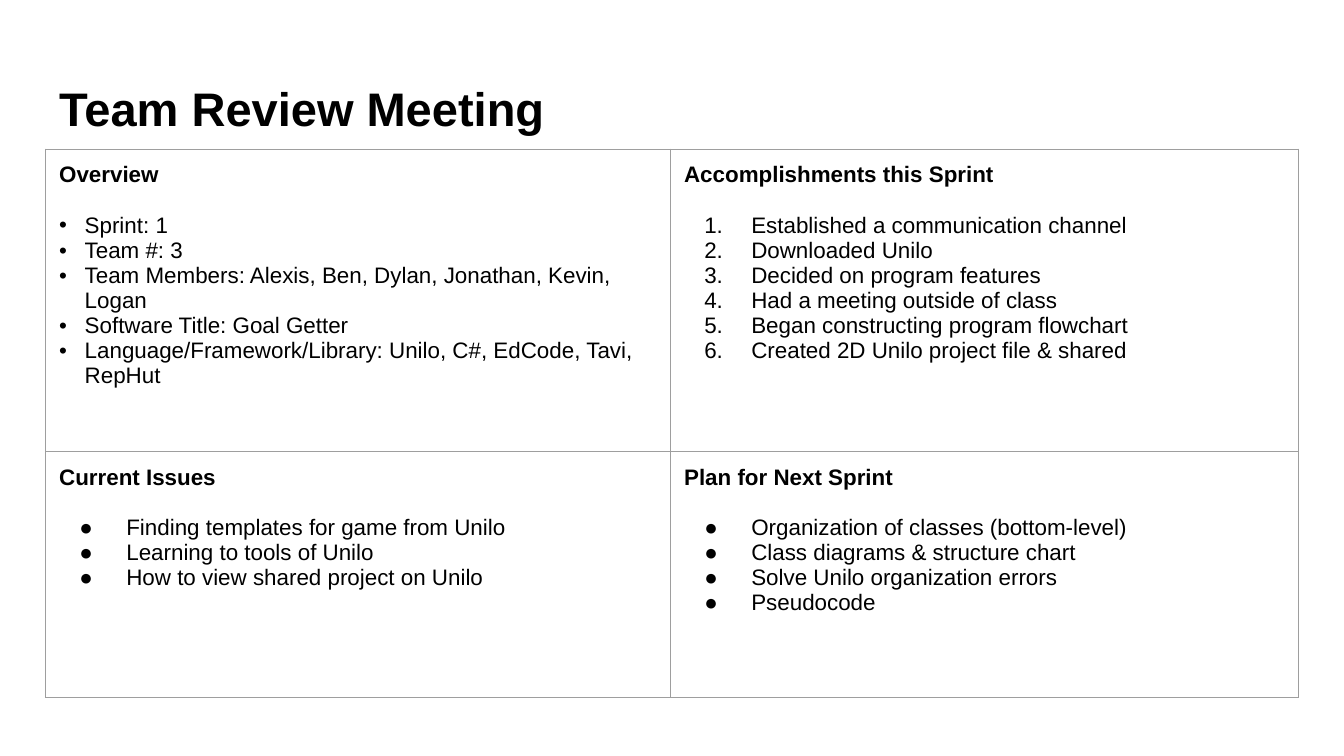
from dataclasses import dataclass

from lxml import etree
from pptx import Presentation
from pptx.dml.color import RGBColor
from pptx.enum.text import MSO_ANCHOR, MSO_AUTO_SIZE, PP_ALIGN
from pptx.oxml.ns import qn
from pptx.util import Inches, Pt

MIDDLE = MSO_ANCHOR.MIDDLE
TOP = MSO_ANCHOR.TOP
LEFT = PP_ALIGN.LEFT
NO_FIT = MSO_AUTO_SIZE.NONE

FONT = "Arial"
BLACK = "000000"
GREY = "9E9E9E"
PADDING = Inches(0.1)
BODY_SIZE = 12
HEADING_GAP = Pt(13.4)
BORDER_WIDTH = Pt(0.75)


@dataclass(frozen=True)
class ListStyle:
    tag: str
    attribute: str
    value: str
    indent: float
    hanging: float


@dataclass(frozen=True)
class Panel:
    heading: str
    items: tuple[str, ...]
    style: ListStyle


SMALL_DOTS = ListStyle("a:buChar", "char", "•", 0.19, 0.19)
LARGE_DOTS = ListStyle("a:buChar", "char", "●", 0.5, 0.35)
NUMBERS = ListStyle("a:buAutoNum", "type", "arabicPeriod", 0.5, 0.35)

PANELS = (
    (
        Panel("Overview", (
            "Sprint: 1",
            "Team #: 3",
            "Team Members: Alexis, Ben, Dylan, Jonathan, Kevin, Logan",
            "Software Title: Goal Getter",
            "Language/Framework/Library: Unilo, C#, EdCode, Tavi, RepHut",
        ), SMALL_DOTS),
        Panel("Accomplishments this Sprint", (
            "Established a communication channel",
            "Downloaded Unilo",
            "Decided on program features",
            "Had a meeting outside of class",
            "Began constructing program flowchart",
            "Created 2D Unilo project file & shared",
        ), NUMBERS),
    ),
    (
        Panel("Current Issues", (
            "Finding templates for game from Unilo",
            "Learning to tools of Unilo",
            "How to view shared project on Unilo",
        ), LARGE_DOTS),
        Panel("Plan for Next Sprint", (
            "Organization of classes (bottom-level)",
            "Class diagrams & structure chart",
            "Solve Unilo organization errors",
            "Pseudocode",
        ), LARGE_DOTS),
    ),
)
COLUMN_WIDTHS = (4.65, 4.67)
ROW_HEIGHTS = (2.25, 1.83)


def color(value: str) -> RGBColor:
    return RGBColor.from_string(value)


def set_font(para, size: float, bold: bool) -> None:
    para.alignment = LEFT
    para.font.name = FONT
    para.font.size = Pt(size)
    para.font.bold = bold
    para.font.color.rgb = color(BLACK)


def set_padding(holder) -> None:
    holder.margin_left = holder.margin_right = PADDING
    holder.margin_top = holder.margin_bottom = PADDING


def add_marker(para, style: ListStyle) -> None:
    properties = para._p.get_or_add_pPr()
    properties.set("marL", str(Inches(style.indent)))
    properties.set("indent", str(-Inches(style.hanging)))
    marker_color = etree.Element(qn("a:buClr"))
    etree.SubElement(marker_color, qn("a:srgbClr"), val=BLACK)
    marker_font = etree.Element(qn("a:buFont"), typeface=FONT)
    marker = etree.Element(qn(style.tag), {style.attribute: style.value})
    # Markers come before the default run properties
    for position, element in enumerate((marker_color, marker_font, marker)):
        properties.insert(position, element)


def add_borders(cell) -> None:
    properties = cell._tc.get_or_add_tcPr()
    for side in ("a:lnL", "a:lnR", "a:lnT", "a:lnB"):
        line = etree.SubElement(properties, qn(side), w=str(BORDER_WIDTH))
        fill = etree.SubElement(line, qn("a:solidFill"))
        etree.SubElement(fill, qn("a:srgbClr"), val=GREY)


def fill_panel(cell, panel: Panel) -> None:
    set_padding(cell)
    cell.vertical_anchor = TOP
    add_borders(cell)
    cell.fill.background()
    heading = cell.text_frame.paragraphs[0]
    heading.text = panel.heading
    set_font(heading, BODY_SIZE, True)
    heading.space_after = HEADING_GAP
    for item in panel.items:
        para = cell.text_frame.add_paragraph()
        para.text = item
        set_font(para, BODY_SIZE, False)
        add_marker(para, panel.style)


def add_title(page, text: str) -> None:
    title = page.shapes.title
    title.left, title.top = Inches(0.34), Inches(0.49)
    title.width, title.height = Inches(9.32), Inches(0.63)
    frame = title.text_frame
    frame.text = text
    frame.word_wrap = True
    frame.auto_size = NO_FIT
    frame.vertical_anchor = MIDDLE
    set_padding(frame)
    set_font(frame.paragraphs[0], 25.2, True)


def add_review_table(page) -> None:
    table = page.shapes.add_table(
        len(ROW_HEIGHTS), len(COLUMN_WIDTHS), Inches(0.34), Inches(1.11),
        Inches(sum(COLUMN_WIDTHS)), Inches(sum(ROW_HEIGHTS)),
    ).table
    table.first_row = False
    table.horz_banding = False
    for column, width in zip(table.columns, COLUMN_WIDTHS):
        column.width = Inches(width)
    for row, height, panels in zip(table.rows, ROW_HEIGHTS, PANELS):
        row.height = Inches(height)
        for cell, panel in zip(row.cells, panels):
            fill_panel(cell, panel)


def main() -> None:
    deck = Presentation()
    # Widescreen, 16 to 9
    deck.slide_width = Inches(10)
    deck.slide_height = deck.slide_width * 9 // 16
    title_only = deck.slide_layouts[5]
    page = deck.slides.add_slide(title_only)
    add_title(page, "Team Review Meeting")
    add_review_table(page)
    deck.save("out.pptx")


if __name__ == "__main__":
    main()
